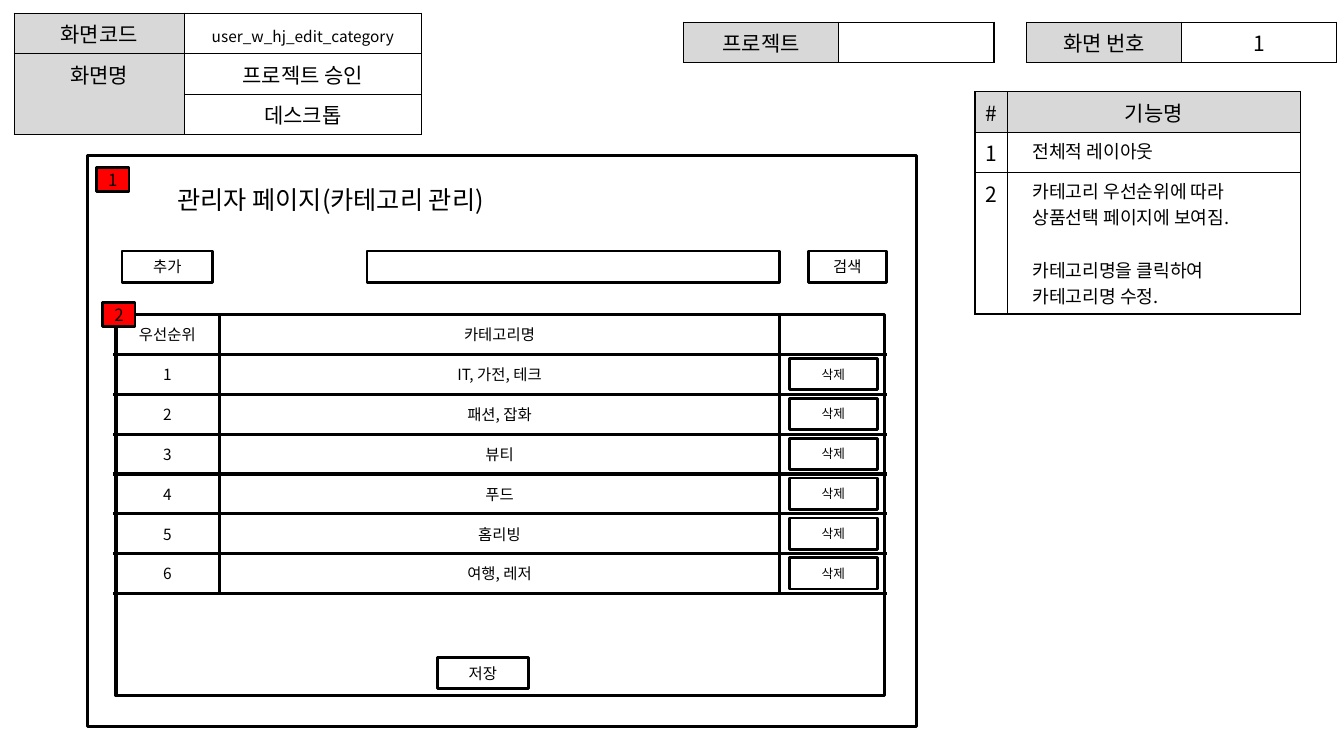
from lxml.etree import SubElement as Sub
from pptx import Presentation
from pptx.dml.color import RGBColor as RGB
from pptx.enum.shapes import MSO_CONNECTOR as Conn, MSO_SHAPE as Shape
from pptx.enum.text import MSO_ANCHOR as Anchor, PP_ALIGN as Align
from pptx.oxml.ns import qn
from pptx.util import Inches, Pt

FONT = "Noto Sans CJK KR"
COLOR = {"ink": "000000", "paper": "FFFFFF", "head": "D8D8D8", "tag": "FF0000"}
STYLE = {
    "head": {"fill": "head", "size": 15, "align": Align.CENTER, "top": 0.05},
    "mid": {"fill": "paper", "size": 15, "align": Align.CENTER, "top": 0.05},
    "code": {"fill": "paper", "size": 11, "align": Align.CENTER, "top": 0.11},
    "note": {"fill": "paper", "size": 13, "align": Align.LEFT, "top": 0.05,
             "indent": 0.15},
}
ITEMS = ["IT, 가전, 테크", "패션, 잡화", "뷰티", "푸드", "홈리빙", "여행, 레저"]


def rgb(name):
    return RGB.from_string(COLOR[name])


def write(para, text, size, align):
    para.alignment = align
    run = para.add_run()
    run.text = text
    run.font.color.rgb = rgb("ink")
    for key, val in {"size": Pt(size), "name": FONT, "bold": False}.items():
        setattr(run.font, key, val)
    Sub(run._r.get_or_add_rPr(), qn("a:ea"), typeface=FONT)


def edge(cell):
    """Draw the four thin borders of a table cell."""
    props = cell._tc.get_or_add_tcPr()
    for side in ("lnL", "lnR", "lnT", "lnB"):
        line = Sub(props, qn("a:" + side), w=str(Pt(0.96)))
        Sub(Sub(line, qn("a:solidFill")), qn("a:srgbClr"), val=COLOR["ink"])


def fill_cell(cell, style, parts):
    """Fill a cell; a part after the second is set off by a blank line's height."""
    fmt = STYLE[style]
    edge(cell)
    cell.fill.solid()
    cell.fill.fore_color.rgb = rgb(fmt["fill"])
    cell.margin_top = Inches(fmt["top"])
    if not parts:
        cell.margin_top = cell.margin_bottom = 0
    frame = cell.text_frame
    for i, text in enumerate(parts):
        para = frame.add_paragraph() if i else frame.paragraphs[0]
        write(para, text, fmt["size"], fmt["align"])
        if "indent" in fmt:
            para._p.get_or_add_pPr().set("marL", str(Inches(fmt["indent"])))
        if i == 1:
            para.space_before = Pt(18.8)


def add_grid(slide, left, top, cols, rows, cells):
    """Add a table; each cell is a style name followed by its paragraphs."""
    table = slide.shapes.add_table(
        len(rows), len(cols), Inches(left), Inches(top),
        Inches(sum(cols)), Inches(sum(rows))).table
    for key in ("first_row", "horz_banding"):
        setattr(table, key, False)
    for col, wide in zip(table.columns, cols):
        col.width = Inches(wide)
    for r, (row, high) in enumerate(zip(table.rows, rows)):
        row.height = Inches(high)
        for cell, (style, *parts) in zip(row.cells, cells[r]):
            fill_cell(cell, style, parts)
    return table


def add_box(slide, left, top, wide, high, text="", size=11, fill=None, weight=2):
    box = slide.shapes.add_shape(
        Shape.RECTANGLE, *map(Inches, (left, top, wide, high)))
    box.shadow.inherit = False
    box.line.color.rgb = rgb("ink")
    box.line.width = Pt(weight)
    if fill:
        box.fill.solid()
        box.fill.fore_color.rgb = rgb(fill)
    else:
        box.fill.background()
    if text:
        box.text_frame.word_wrap = True
        box.text_frame.vertical_anchor = Anchor.MIDDLE
        write(box.text_frame.paragraphs[0], text, size, Align.CENTER)


def add_tag(slide, left, top, text):
    add_box(slide, left, top, 0.32, 0.24, text, 12, "tag")


def add_rule(slide, left, top, wide):
    rule = slide.shapes.add_connector(
        Conn.STRAIGHT, Inches(left), Inches(top), Inches(left + wide), Inches(top))
    rule.line.color.rgb = rgb("ink")
    rule.line.width = Pt(2.25)
    Sub(rule._element.spPr, qn("a:effectLst"))


def add_heads(slide):
    """Place the screen facts along the top."""
    info = add_grid(slide, 0.14, 0.13, [1.69, 2.35], [0.4] * 3, [
        [("head", "화면코드"), ("code", "user_w_hj_edit_category")],
        [("head", "화면명"), ("mid", "프로젝트 승인")],
        [("head",), ("mid", "데스크톱")]])
    info.cell(1, 0).merge(info.cell(2, 0))
    for left, name, *value in ((6.78, "프로젝트"), (10.18, "화면 번호", "1")):
        add_grid(slide, left, 0.22, [1.54] * 2, [0.4],
                 [[("head", name), ("mid", *value)]])


def add_notes(slide, left, top):
    table = add_grid(slide, left, top, [0.32, 2.91], [0.4, 0.4, 1.4], [
        [("head", "#"), ("head", "기능명")],
        [("mid", "1"), ("note", "전체적 레이아웃")],
        [("mid", "2"), ("note", "카테고리 우선순위에 따라 상품선택 페이지에 보여짐.",
                        "카테고리명을 클릭하여", "카테고리명 수정.")]])
    return table


def add_list(slide, left, top, wide, high):
    """Place the category list with its delete buttons and save button."""
    add_box(slide, left, top, wide, high, weight=2.25)
    rows = [("우선순위", "카테고리명")]
    rows += [(str(i), item) for i, item in enumerate(ITEMS, 1)]
    step = 2.77 / len(rows)
    for i, (rank, item) in enumerate(rows):
        y = top + i * step
        add_box(slide, left - 0.01, y, 1.04, step, rank)
        add_box(slide, left + 1.03, y, 5.55, step, item)
        if i:
            add_box(slide, left + 6.68, y + 0.04, 0.87, 0.31, "삭제", 9)
        add_rule(slide, left - 0.03, y + step, wide + 0.06)
    add_box(slide, left + 3.19, top + 3.4, 0.9, 0.31, "저장")
    add_tag(slide, left - 0.13, top - 0.12, "2")


def add_page(slide, left, top, wide, high):
    """Place the wireframe of the admin page."""
    add_box(slide, left, top, wide, high)
    add_tag(slide, left + 0.09, top + 0.12, "1")
    title = slide.shapes.add_textbox(
        Inches(left + 0.79), Inches(top + 0.24), Inches(6.6), Inches(0.4))
    title.text_frame.word_wrap = True
    write(title.text_frame.paragraphs[0], "관리자 페이지(카테고리 관리)", 18, Align.LEFT)
    for x, span, text in ((0.34, 0.9, "추가"), (2.77, 4.09, ""), (7.15, 0.77, "검색")):
        add_box(slide, left + x, top + 0.95, span, 0.31, text)
    add_list(slide, left + 0.28, top + 1.58, wide - 0.6, high - 1.89)


def main():
    deck = Presentation()
    deck.slide_width, deck.slide_height = Inches(13.33), Inches(7.5)
    slide = deck.slides.add_slide(deck.slide_layouts[6])
    add_heads(slide)
    add_notes(slide, 9.67, 0.91)
    add_page(slide, 0.87, 1.54, 8.22, 5.67)
    deck.save("out.pptx")


if __name__ == "__main__":
    main()
